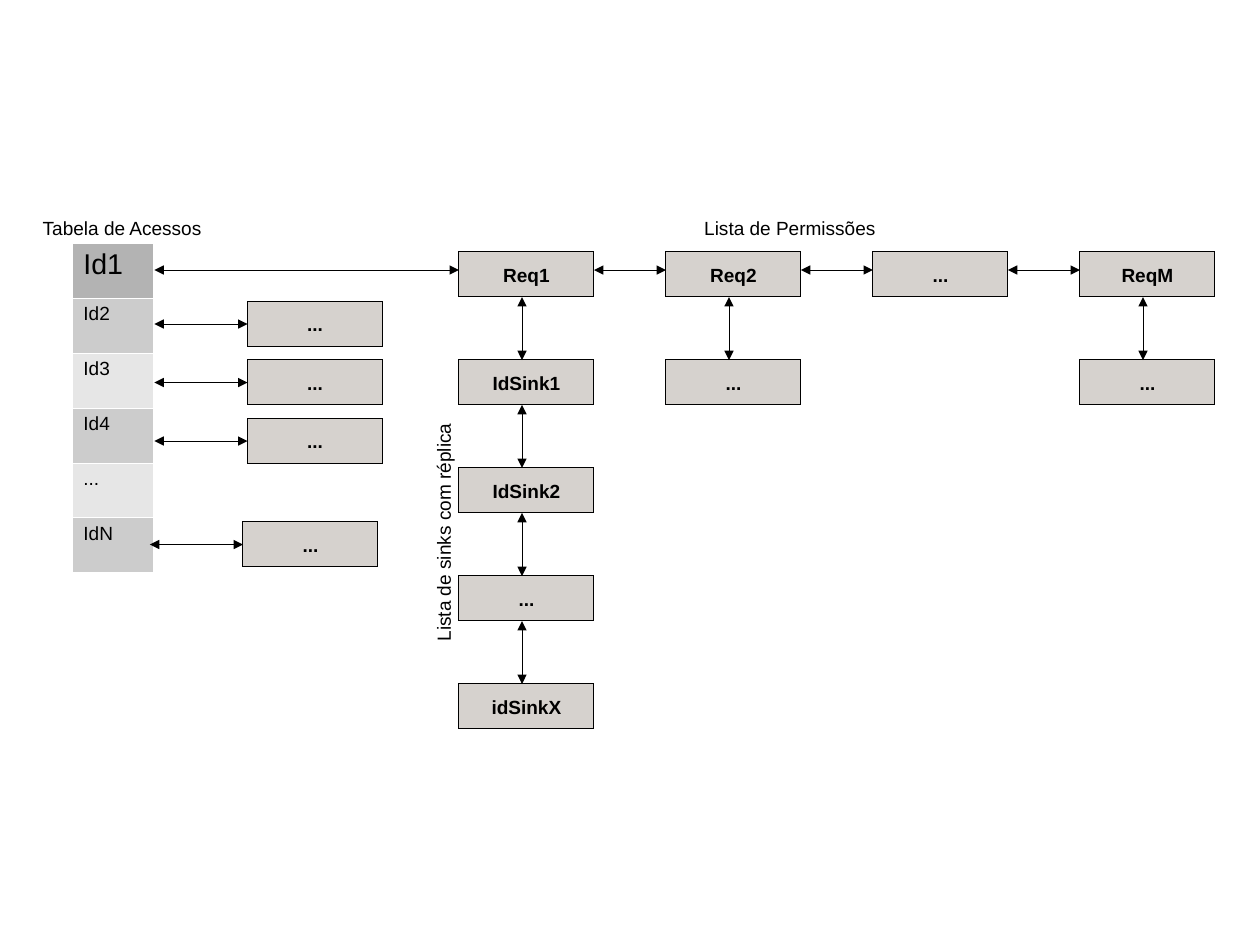
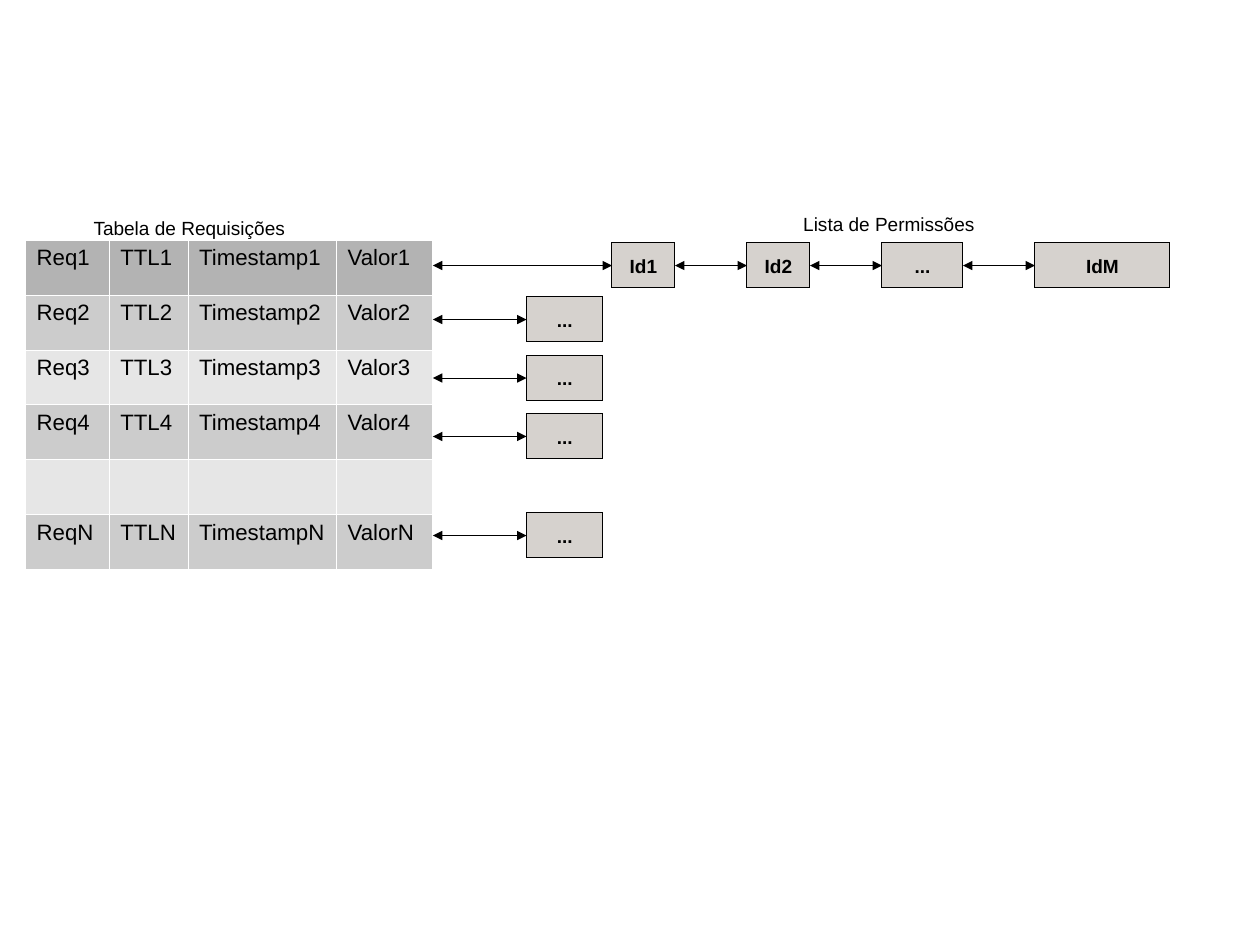
from dataclasses import dataclass

from lxml.etree import SubElement
from pptx import Presentation
from pptx.dml.color import RGBColor
from pptx.enum.shapes import MSO_CONNECTOR as Connector, MSO_SHAPE as Preset
from pptx.enum.text import MSO_ANCHOR as Anchor, MSO_AUTO_SIZE as AutoSize, PP_ALIGN as Align
from pptx.oxml.ns import qn
from pptx.util import Cm, Pt


@dataclass(frozen=True)
class Theme:
    font: str = "Arial"
    ink: str = "000000"
    box: str = "AEA79F"
    box_alpha: int = 50000
    border: str = "FFFFFF"
    header: str = "B3B3B3"
    bands: tuple = ("E6E6E6", "CCCCCC")
    text_size: int = 12
    table_size: int = 14
    emphasis_size: int = 18
    hairline: int = 0
    border_width: float = 0.06


THEME = Theme()
BOX_WIDTH, BOX_HEIGHT = 3, 1
GAP = 1.6
LEVEL_STEP = 2.4
ROW_HEIGHT = 1.22
LABEL_HEIGHT = 0.73


def write(frame, text, size=THEME.text_size, bold=False, align=Align.LEFT):
    paragraph = frame.paragraphs[0]
    paragraph.alignment = align
    run = paragraph.add_run()
    run.text = text
    run.font.name = THEME.font
    run.font.size = Pt(size)
    run.font.bold = bold
    run.font.color.rgb = RGBColor.from_string(THEME.ink)


def set_hairline(shape):
    shape.line.color.rgb = RGBColor.from_string(THEME.ink)
    outline = shape.element.spPr.find(qn("a:ln"))
    outline.set("w", str(THEME.hairline))
    return outline


def add_label(slide, text, left, top, width, rotation=0):
    label = slide.shapes.add_textbox(Cm(left), Cm(top), Cm(width), Cm(LABEL_HEIGHT))
    label.rotation = rotation
    label.text_frame.word_wrap = False
    label.text_frame.auto_size = AutoSize.SHAPE_TO_FIT_TEXT
    write(label.text_frame, text)


def add_box(slide, text, left, top, width=BOX_WIDTH):
    box = slide.shapes.add_shape(Preset.RECTANGLE, Cm(left), Cm(top), Cm(width), Cm(BOX_HEIGHT))
    box.shadow.inherit = False
    box.fill.solid()
    box.fill.fore_color.rgb = RGBColor.from_string(THEME.box)
    color = box.element.spPr.find(qn("a:solidFill")).find(qn("a:srgbClr"))
    SubElement(color, qn("a:alpha"), val=str(THEME.box_alpha))
    set_hairline(box)
    box.text_frame.word_wrap = False
    box.text_frame.vertical_anchor = Anchor.MIDDLE
    write(box.text_frame, text, bold=True, align=Align.CENTER)


def add_arrow(slide, start, end):
    arrow = slide.shapes.add_connector(Connector.STRAIGHT, *map(Cm, (*start, *end)))
    outline = set_hairline(arrow)
    for tag in ("a:headEnd", "a:tailEnd"):
        SubElement(outline, qn(tag), type="triangle")
    SubElement(arrow.element.spPr, qn("a:effectLst"))


def add_chain(slide, boxes, arrow_start, left, top, arrow_drop):
    arrow_y = top + arrow_drop
    for text, width in boxes:
        add_arrow(slide, (arrow_start, arrow_y), (left, arrow_y))
        add_box(slide, text, left, top, width)
        arrow_start = left + width
        left = arrow_start + GAP


def add_column(slide, texts, left, top):
    arrow_x = left + 1.4
    for level, text in enumerate(texts, 1):
        box_top = top + level * LEVEL_STEP
        add_arrow(slide, (arrow_x, box_top - LEVEL_STEP + BOX_HEIGHT), (arrow_x, box_top))
        add_box(slide, text, left, box_top)


def add_row_links(slide, arrow_start, left, tops, width):
    for top in tops:
        add_chain(slide, [("...", width)], arrow_start, left, top, BOX_HEIGHT / 2)


def set_borders(cell):
    properties = cell._tc.get_or_add_tcPr()
    for tag in ("a:lnL", "a:lnR", "a:lnT", "a:lnB"):
        border = SubElement(properties, qn(tag), w=str(Pt(THEME.border_width)))
        fill = SubElement(border, qn("a:solidFill"))
        SubElement(fill, qn("a:srgbClr"), val=THEME.border)


def add_grid(slide, rows, left, top, widths, size, header_size):
    height = ROW_HEIGHT * len(rows)
    table = slide.shapes.add_table(
        len(rows), len(widths), Cm(left), Cm(top), Cm(sum(widths)), Cm(height)
    ).table
    table.first_row = False
    table.horz_banding = False
    for column, width in zip(table.columns, widths):
        column.width = Cm(width)
    for index, texts in enumerate(rows):
        table.rows[index].height = Cm(ROW_HEIGHT)
        color = THEME.bands[index % 2] if index else THEME.header
        for column_index, text in enumerate(texts):
            cell = table.cell(index, column_index)
            set_borders(cell)
            cell.fill.solid()
            cell.fill.fore_color.rgb = RGBColor.from_string(color)
            if text:
                write(cell.text_frame, text, size=size if index else header_size)


def build_access_slide(slide):
    ids = ("Id1", "Id2", "Id3", "Id4", "...", "IdN")
    add_grid(slide, [(text,) for text in ids], 1.6, 5.4, (1.8,),
             THEME.text_size, THEME.emphasis_size)
    add_label(slide, "Tabela de Acessos", 0.7, 4.68, 4.05)
    add_label(slide, "Lista de Permissões", 15.4, 4.68, 4.6)
    add_label(slide, "Lista de sinks com réplica", 6.8, 11.1, 6.08, rotation=270)

    requests = ("Req1", "Req2", "...", "ReqM")
    left, top = 10.2, 5.6
    add_chain(slide, [(text, BOX_WIDTH) for text in requests], 3.43, left, top, 0.4)
    sinks = {0: ("IdSink1", "IdSink2", "...", "idSinkX"), 1: ("...",), 3: ("...",)}
    for position, texts in sinks.items():
        add_column(slide, texts, left + position * (BOX_WIDTH + GAP), top)

    add_row_links(slide, 3.43, 5.5, (6.7, 8, 9.3), BOX_WIDTH)
    add_row_links(slide, 3.33, 5.4, (11.6,), BOX_WIDTH)


def build_request_slide(slide):
    fields = ("Req", "TTL", "Timestamp", "Valor")
    rows = [[field + suffix for field in fields] for suffix in "1234N"]
    rows.insert(4, [""] * len(fields))
    add_grid(slide, rows, 0.56, 5.33, (1.86, 1.75, 3.3, 2.13),
             THEME.table_size, THEME.table_size)
    add_label(slide, "Tabela de Requisições", 1.83, 4.68, 4.78)
    add_label(slide, "Lista de Permissões", 17.6, 4.6, 4.6)

    permissions = (("Id1", 1.4), ("Id2", 1.4), ("...", 1.8), ("IdM", BOX_WIDTH))
    add_chain(slide, permissions, 9.62, 13.6, 5.4, BOX_HEIGHT / 2)
    add_row_links(slide, 9.62, 11.7, (6.6, 7.9, 9.2, 11.4), 1.7)


def main():
    presentation = Presentation()
    presentation.slide_width, presentation.slide_height = Cm(28), Cm(21)
    blank_layout = presentation.slide_layouts[6]
    for build in (build_access_slide, build_request_slide):
        build(presentation.slides.add_slide(blank_layout))
    presentation.save("out.pptx")


main()
